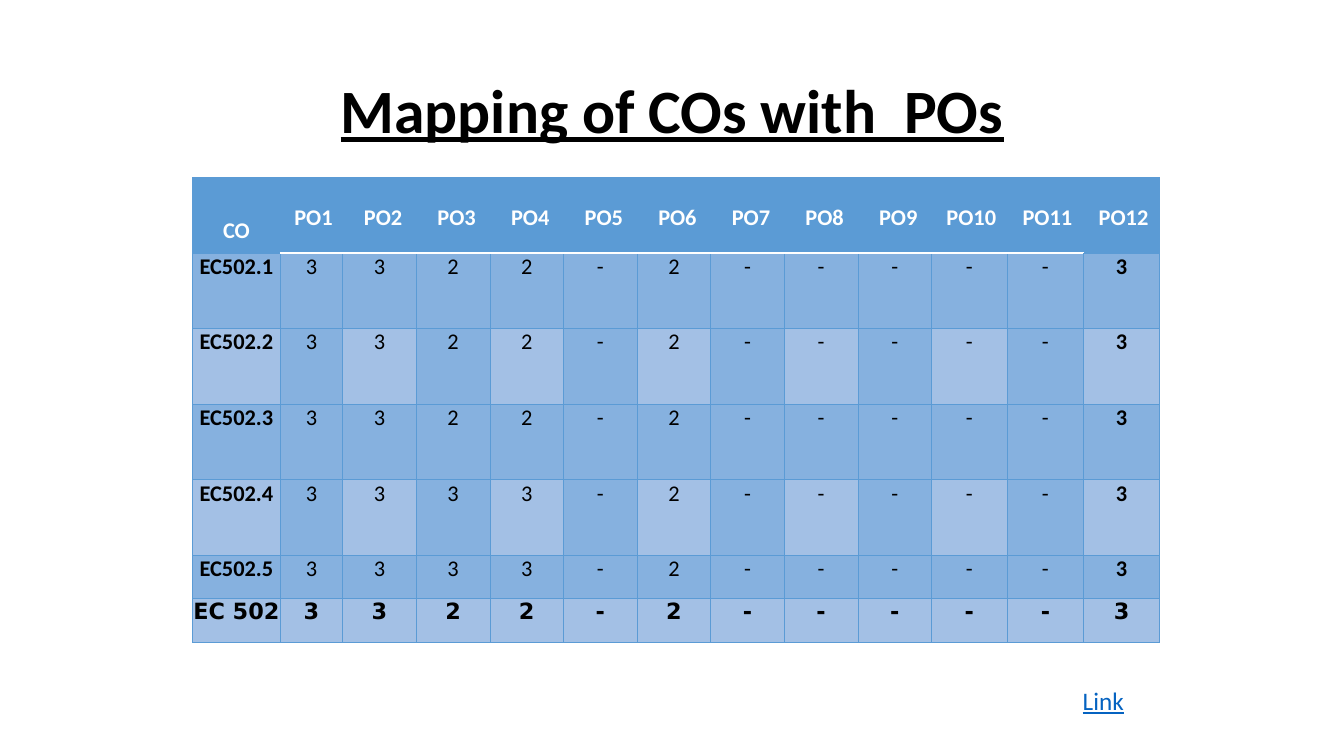
"""Build a slide that maps course outcomes to programme outcomes."""
from dataclasses import dataclass

from lxml import etree
from pptx import Presentation
from pptx.dml.color import RGBColor
from pptx.enum.text import MSO_ANCHOR, PP_ALIGN
from pptx.oxml.ns import qn
from pptx.util import Inches, Pt

CENTER = PP_ALIGN.CENTER
LEFT = PP_ALIGN.LEFT
MIDDLE = MSO_ANCHOR.MIDDLE
TOP = MSO_ANCHOR.TOP
GRID = Inches(0.01)
SLIDE_COLS, SLIDE_ROWS = 1333, 750


@dataclass(frozen=True)
class Theme:
    """Colours, fonts and type sizes of the slide."""
    ink: str = "000000"
    white: str = "FFFFFF"
    accent: str = "5B9BD5"
    band: str = "86B1DF"
    ground: str = "A3C0E5"
    link: str = "0563C1"
    font: str = "Calibri"
    total_font: str = "DejaVu Sans"
    title_size: int = 44
    link_size: int = 18
    table_size: int = 16
    rule: float = 0.5
    header_rule: float = 1


@dataclass(frozen=True)
class Area:
    """A rectangle in grid columns and rows."""
    col: int
    row: int
    cols: int
    rows: int

    def box(self):
        """Return left, top, width and height as lengths."""
        return tuple(GRID * n for n in (self.col, self.row, self.cols, self.rows))


@dataclass(frozen=True)
class Style:
    """The look of one run of text."""
    size: int
    color: str
    bold: bool = False
    underline: bool = False
    font: str = "Calibri"


@dataclass(frozen=True)
class Outcome:
    """A course outcome with one level for each programme outcome."""
    code: str
    levels: str


THEME = Theme()
TITLE_AREA = Area(92, 40, 1150, 145)
LINK_AREA = Area(1064, 675, 129, 41)
COLUMN_COLS = [87, 62] + [73] * 8 + [75, 76, 75]
ROW_ROWS = [75] * 5 + [43] * 2
MAPPING_AREA = Area(191, 176, sum(COLUMN_COLS), sum(ROW_ROWS))
CO_DROP, PO_DROP = 39, 27
NARROW_INDENT, WIDE_INDENT = 4, 7

OUTCOMES = [
    Outcome("EC502.1", "3322-2-----3"),
    Outcome("EC502.2", "3322-2-----3"),
    Outcome("EC502.3", "3322-2-----3"),
    Outcome("EC502.4", "3333-2-----3"),
    Outcome("EC502.5", "3333-2-----3"),
    Outcome("EC 502", "3322-2-----3"),
]
LAST_ROW, LAST_COL = len(OUTCOMES), len(COLUMN_COLS) - 1


def write(frame, text: str, style: Style, align) -> None:
    """Write one styled run in the first paragraph of a text frame."""
    paragraph = frame.paragraphs[0]
    paragraph.alignment = align
    run = paragraph.add_run()
    run.text = text
    font = run.font
    font.name, font.size = style.font, Pt(style.size)
    font.bold, font.underline = style.bold, style.underline
    font.color.rgb = RGBColor.from_string(style.color)


def add_border(cell, side: str, color: str, width: float) -> None:
    """Draw one solid border of a table cell."""
    line = etree.SubElement(cell._tc.get_or_add_tcPr(), qn(f"a:{side}"), w=str(Pt(width)))
    fill = etree.SubElement(line, qn("a:solidFill"))
    etree.SubElement(fill, qn("a:srgbClr"), val=color)


def add_borders(cell, row: int, col: int) -> None:
    """Draw all borders, with a white rule below the PO headings."""
    for side in ("lnL", "lnR", "lnT", "lnB"):
        under_header = (row, side) in ((0, "lnB"), (1, "lnT"))
        if under_header and 0 < col < LAST_COL:
            add_border(cell, side, THEME.white, THEME.header_rule)
        else:
            add_border(cell, side, THEME.accent, THEME.rule)


def cell_color(row: int, col: int) -> str:
    """Return the fill of a cell from its row and column bands."""
    if row == 0:
        return THEME.accent
    banded = row < LAST_ROW and (row % 2 or col % 2)
    return THEME.band if banded else THEME.ground


def cell_style(row: int, col: int) -> Style:
    """Return the type style of a cell."""
    return Style(
        THEME.table_size,
        THEME.ink if row else THEME.white,
        bold=row in (0, LAST_ROW) or col in (0, LAST_COL),
        font=THEME.total_font if row == LAST_ROW else THEME.font,
    )


def place_heading(cell, col: int) -> None:
    """Shift a heading down and right inside its cell."""
    cell.margin_top = GRID * (PO_DROP if col else CO_DROP)
    if col:
        wide = 2 <= col <= 9
        cell.margin_left = GRID * (WIDE_INDENT if wide else NARROW_INDENT)


def add_mapping(slide) -> None:
    """Add the table of outcomes and levels."""
    headings = ["CO"] + [f"PO{n}" for n in range(1, LAST_COL + 1)]
    rows = [headings] + [[item.code, *item.levels] for item in OUTCOMES]
    table = slide.shapes.add_table(len(rows), len(headings), *MAPPING_AREA.box()).table
    table.horz_banding = False
    for column, cols in zip(table.columns, COLUMN_COLS):
        column.width = GRID * cols
    for table_row, height in zip(table.rows, ROW_ROWS):
        table_row.height = GRID * height
    for row, texts in enumerate(rows):
        for col, text in enumerate(texts):
            cell = table.cell(row, col)
            cell.margin_left = cell.margin_right = cell.margin_top = cell.margin_bottom = 0
            cell.vertical_anchor = TOP
            if row == 0:
                place_heading(cell, col)
            add_borders(cell, row, col)
            cell.fill.solid()
            cell.fill.fore_color.rgb = RGBColor.from_string(cell_color(row, col))
            write(cell.text_frame, text, cell_style(row, col), CENTER)


def add_title(slide) -> None:
    """Place and write the slide title."""
    title = slide.shapes.title
    title.left, title.top, title.width, title.height = TITLE_AREA.box()
    frame = title.text_frame
    frame.vertical_anchor = MIDDLE
    frame.paragraphs[0].line_spacing = 0.9
    style = Style(THEME.title_size, THEME.ink, bold=True, underline=True)
    write(frame, "Mapping of COs with  POs", style, CENTER)


def add_link_label(slide) -> None:
    """Add the underlined label below the table."""
    frame = slide.shapes.add_textbox(*LINK_AREA.box()).text_frame
    frame.word_wrap = True
    write(frame, "Link", Style(THEME.link_size, THEME.link, underline=True), LEFT)


def main() -> None:
    """Build and save the presentation."""
    deck = Presentation()
    deck.slide_width, deck.slide_height = GRID * SLIDE_COLS, GRID * SLIDE_ROWS
    slide = deck.slides.add_slide(deck.slide_layouts.get_by_name("Title Only"))
    add_title(slide)
    add_mapping(slide)
    add_link_label(slide)
    deck.save("out.pptx")


if __name__ == "__main__":
    main()
